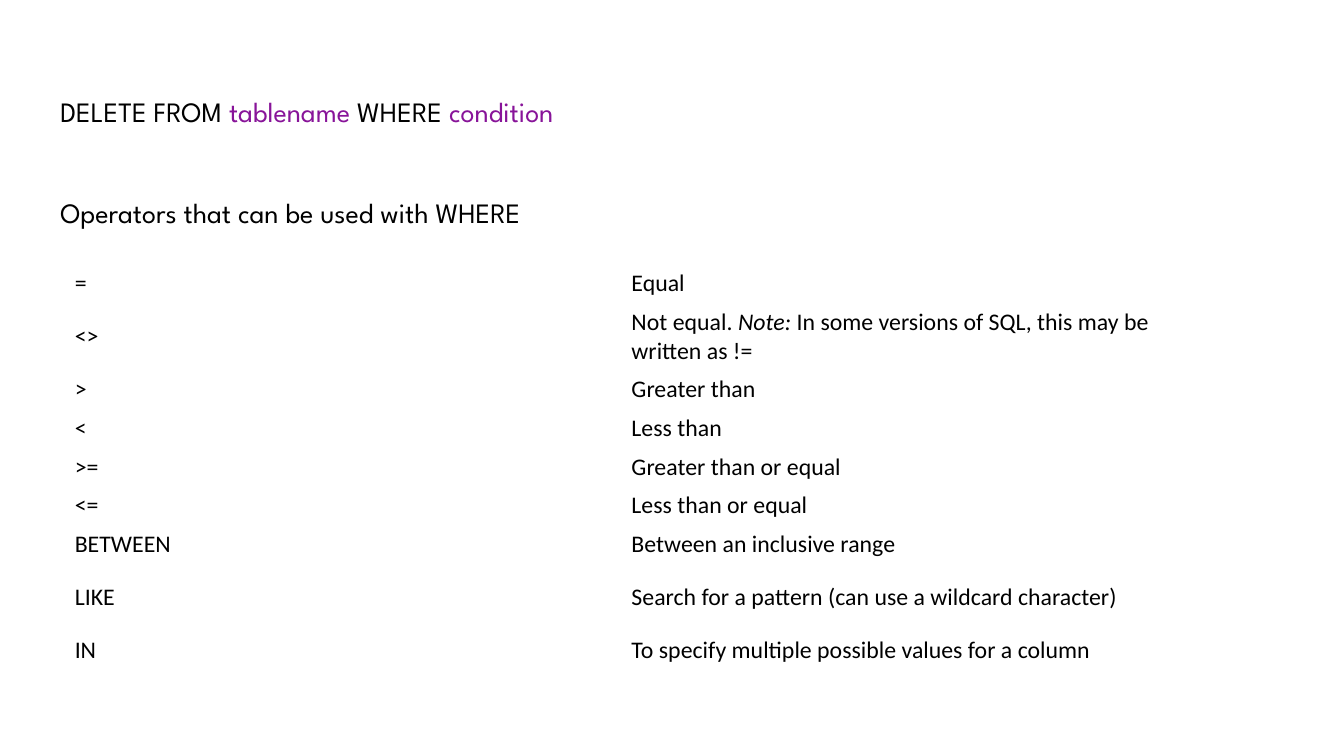
from dataclasses import dataclass

from pptx import Presentation
from pptx import util as u
from pptx.dml import color
from pptx.enum import text


@dataclass(frozen=True)
class Theme:
    ink: str = "000000"
    accent: str = "881499"
    paper: str = "FFFFFF"
    heading_font: str = "League Spartan"
    body_font: str = "Calibri"
    heading_size: int = 20
    body_size: int = 17


def write(tf, runs, font, size, ink, accent=None, italic=False):
    p = tf.paragraphs[0]
    p.alignment = text.PP_ALIGN.LEFT
    for i, words in enumerate(runs):
        marked = i % 2 == 1
        r = p.add_run()
        r.text = words
        r.font.name = font
        r.font.size = u.Pt(size)
        r.font.italic = marked and italic
        shade = accent if marked and accent else ink
        r.font.color.rgb = color.RGBColor.from_string(shade)


class Deck:
    def __init__(self, theme, width, height):
        self.theme = theme
        self.prs = Presentation()
        self.prs.slide_width, self.prs.slide_height = width, height
        self.s = None

    def slide(self):
        self.s = self.prs.slides.add_slide(self.prs.slide_layouts[5])

    def heading(self, sp, runs):
        t = self.theme
        tf = sp.text_frame
        tf.word_wrap = True
        tf.auto_size = text.MSO_AUTO_SIZE.NONE
        tf.vertical_anchor = text.MSO_ANCHOR.TOP
        tf.margin_left = u.Cm(1.52)
        write(tf, runs, t.heading_font, t.heading_size, t.ink, accent=t.accent)

    def title(self, top, height, *runs):
        sp = self.s.shapes.title
        sp.left, sp.top = u.Cm(0), top
        sp.width, sp.height = self.prs.slide_width, height
        self.heading(sp, runs)

    def subtitle(self, top, height, *runs):
        sp = self.s.shapes.add_textbox(0, top, self.prs.slide_width, height)
        self.heading(sp, runs)

    def table(self, left, top, col_width, row_heights, rows):
        t = self.theme
        frame = self.s.shapes.add_table(
            len(rows), 2, left, top, col_width * 2, sum(row_heights))
        table = frame.table
        table.first_row = table.horz_banding = False
        for col in table.columns:
            col.width = col_width
        for row, height, values in zip(table.rows, row_heights, rows):
            row.height = height
            for cell, runs in zip(row.cells, values):
                cell.fill.solid()
                cell.fill.fore_color.rgb = color.RGBColor.from_string(t.paper)
                cell.vertical_anchor = text.MSO_ANCHOR.MIDDLE
                cell.margin_top = cell.margin_bottom = u.Cm(0.12)
                write(cell.text_frame, runs, t.body_font, t.body_size,
                      t.ink, italic=True)


OPERATORS = {
    "=": ["Equal"],
    "<>": ["Not equal.\u00a0", "Note:",
           "\u00a0In some versions of SQL, this may be written as !="],
    ">": ["Greater than"],
    "<": ["Less than"],
    ">=": ["Greater than or equal"],
    "<=": ["Less than or equal"],
    "BETWEEN": ["Between an inclusive range"],
    "LIKE": ["Search for a pattern (can use a wildcard character)"],
    "IN": ["To specify multiple possible values for a column"],
}
TALL_ROWS = {"<>", "LIKE"}

deck = Deck(Theme(), u.Cm(33.87), u.Cm(19.05))
deck.slide()
deck.title(u.Cm(2.26), u.Cm(1.12),
           "DELETE FROM ", "tablename ", "WHERE ", "condition")
deck.table(u.Cm(1.63), u.Cm(6.65), u.Cm(14.03),
           [u.Cm(1.7 if name in TALL_ROWS else 0.97) for name in OPERATORS],
           [([name], meaning) for name, meaning in OPERATORS.items()])
deck.subtitle(u.Cm(4.8), u.Cm(1.12), "Operators that can be used with WHERE")
deck.prs.save("out.pptx")
